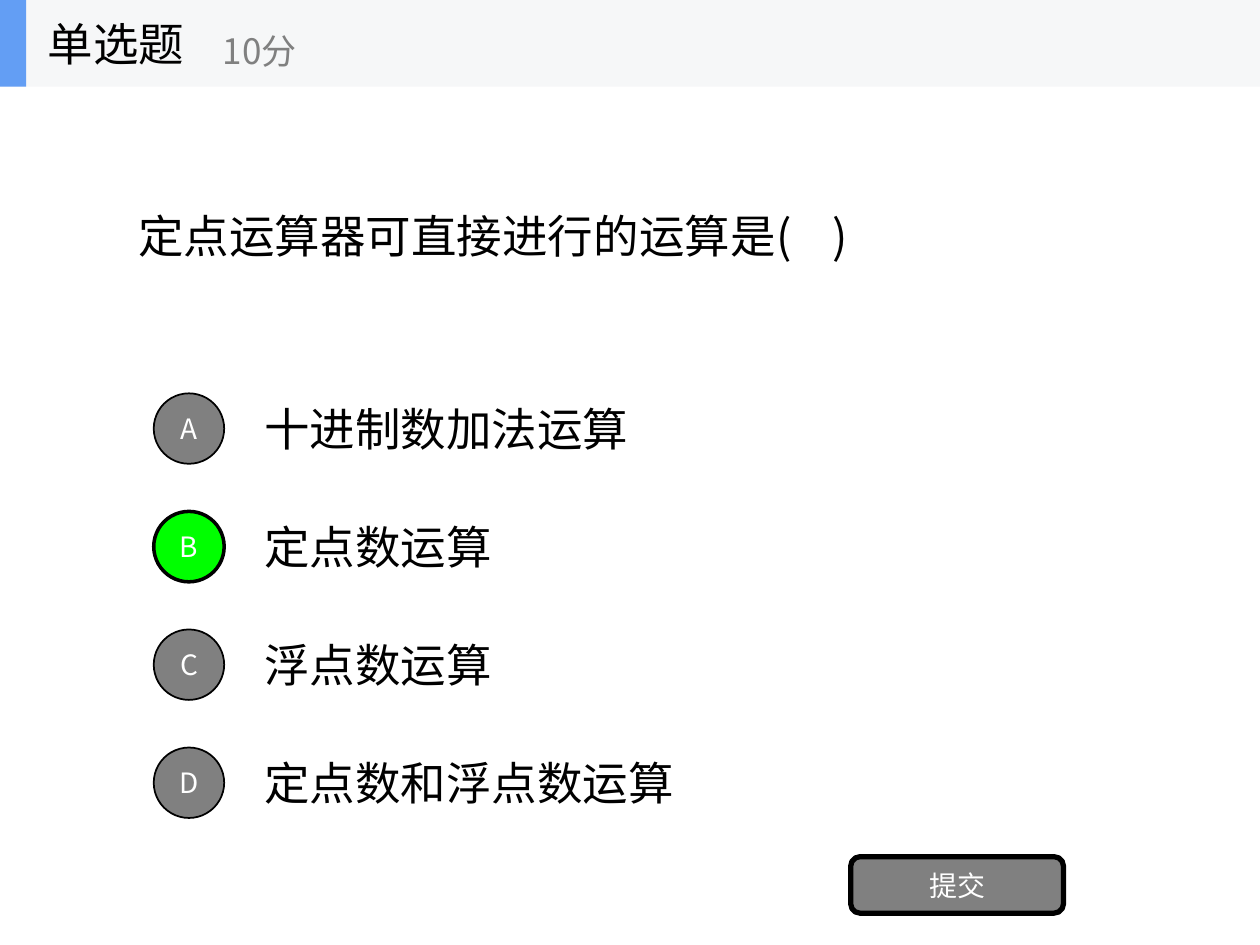
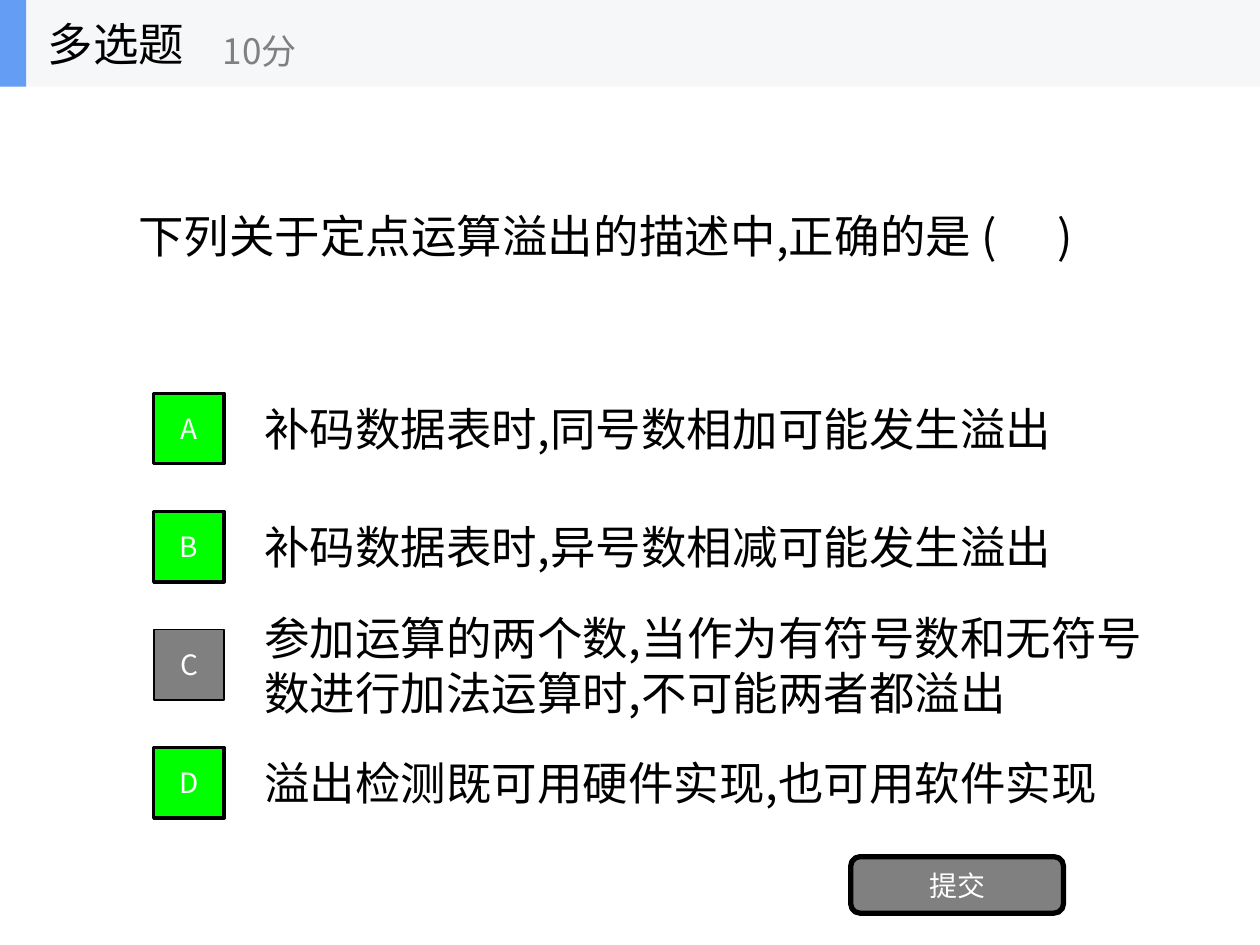
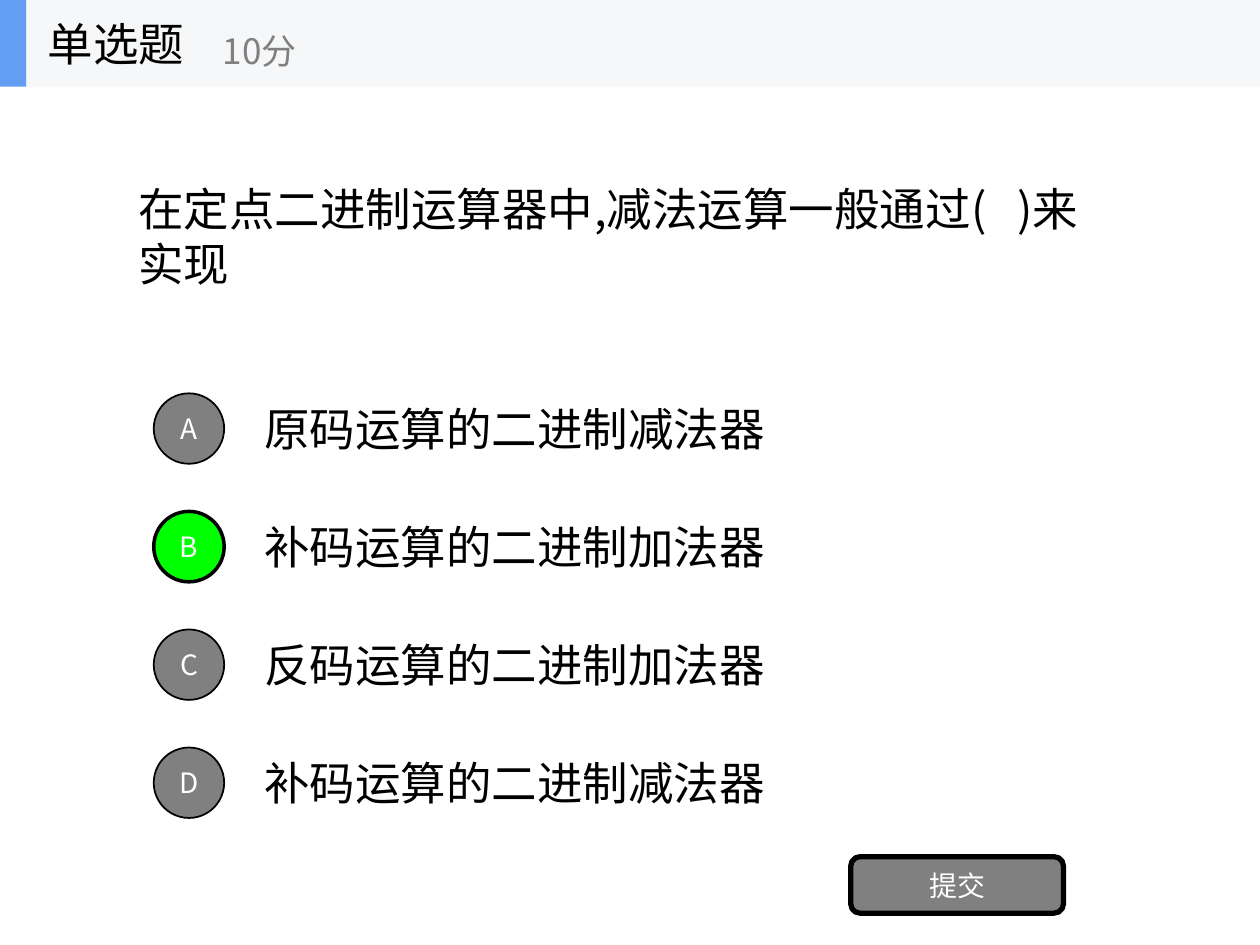
"""Builds three quiz slides on fixed-point arithmetic."""
from lxml import etree
from pptx import Presentation
from pptx.dml.color import RGBColor
from pptx.enum import shapes, text
from pptx.oxml import ns
from pptx.util import Cm, Pt

FONT = "Noto Sans CJK SC"
BLACK, WHITE, GRAY, GREEN = "000000", "FFFFFF", "808080", "00FF00"
BAND, ACCENT = "F6F7F8", "639EF4"
ONE_LINE, TWO_LINES = 1.37, 2.46
HEADER_HEIGHT = 1.75
QUESTION_CENTER = 4.75
FIRST_OPTION_CENTER, OPTION_STEP = 8.64, 2.38
MARKER = 1.42


def write(box, words, size, color, align=text.PP_ALIGN.LEFT, fit=text.MSO_AUTO_SIZE.NONE):
    frame = box.text_frame
    frame.word_wrap = True
    frame.auto_size = fit
    frame.vertical_anchor = text.MSO_ANCHOR.MIDDLE
    paragraph = frame.paragraphs[0]
    paragraph.alignment = align
    run = paragraph.add_run()
    run.text = words
    run.font.size = Pt(size)
    run.font.color.rgb = RGBColor.from_string(color)
    run.font.name = FONT
    etree.SubElement(run.font._element, ns.qn("a:ea"), typeface=FONT)


def add_block(slide, kind, left, top, width, height, fill, line_width=0, label=""):
    block = slide.shapes.add_shape(kind, Cm(left), Cm(top), Cm(width), Cm(height))
    block.shadow.inherit = False
    block.fill.solid()
    block.fill.fore_color.rgb = RGBColor.from_string(fill)
    if line_width:
        block.line.color.rgb = RGBColor.from_string(BLACK)
        block.line.width = Pt(line_width)
    else:
        block.line.fill.background()
    if label:
        write(block, label, 16, WHITE, text.PP_ALIGN.CENTER)


SINGLE = ("单选题", shapes.MSO_SHAPE.OVAL)
MULTIPLE = ("多选题", shapes.MSO_SHAPE.RECTANGLE)
quizzes = [
    (SINGLE, "定点运算器可直接进行的运算是(    )", 15.32, ONE_LINE, "B", ONE_LINE, [
        ("十进制数加法运算", 8.13),
        ("定点数运算", 5.36),
        ("浮点数运算", 5.36),
        ("定点数和浮点数运算", 9.04),
    ]),
    (MULTIPLE, "下列关于定点运算溢出的描述中,正确的是 (      )", 20.04, TWO_LINES, "ABD", TWO_LINES, [
        ("补码数据表时,同号数相加可能发生溢出", 16.59),
        ("补码数据表时,异号数相减可能发生溢出", 16.59),
        ("参加运算的两个数,当作为有符号数和无符号数进行加法运算时,不可能两者都溢出", 18.42),
        ("溢出检测既可用硬件实现,也可用软件实现", 17.5),
    ]),
    (SINGLE, "在定点二进制运算器中,减法运算一般通过(   )来实现", 19.69, TWO_LINES, "B", ONE_LINE, [
        ("原码运算的二进制减法器", 10.87),
        ("补码运算的二进制加法器", 10.87),
        ("反码运算的二进制加法器", 10.87),
        ("补码运算的二进制减法器", 10.87),
    ]),
]

prs = Presentation()
prs.slide_width, prs.slide_height = Cm(25.4), Cm(19.05)
title_only = prs.slide_layouts[5]

for (heading, marker_kind), question, question_width, question_height, answers, option_height, options in quizzes:
    slide = prs.slides.add_slide(title_only)

    stem = slide.shapes.add_textbox(
        Cm(2.54), Cm(QUESTION_CENTER - question_height / 2), Cm(question_width), Cm(question_height))
    write(stem, question, 26, BLACK, fit=text.MSO_AUTO_SIZE.SHAPE_TO_FIT_TEXT)

    for row, (letter, (option, option_width)) in enumerate(zip("ABCD", options)):
        center = FIRST_OPTION_CENTER + row * OPTION_STEP
        choice = slide.shapes.add_textbox(
            Cm(5.08), Cm(center - option_height / 2), Cm(option_width), Cm(option_height))
        write(choice, option, 26, BLACK, fit=text.MSO_AUTO_SIZE.SHAPE_TO_FIT_TEXT)
        fill, outline = (GREEN, 2) if letter in answers else (GRAY, 1)
        add_block(slide, marker_kind, 3.1, center - MARKER / 2, MARKER, MARKER, fill, outline, letter)

    add_block(slide, shapes.MSO_SHAPE.ROUNDED_RECTANGLE, 17.15, 17.27, 4.29, 1.14, GRAY, 3, "提交")

    add_block(slide, shapes.MSO_SHAPE.RECTANGLE, 0, 0, 25.4, HEADER_HEIGHT, BAND)
    add_block(slide, shapes.MSO_SHAPE.RECTANGLE, 0, 0, 0.53, HEADER_HEIGHT, ACCENT)
    title = slide.shapes.title
    title.left, title.top, title.width, title.height = Cm(0.71), Cm(0), Cm(5.28), Cm(HEADER_HEIGHT)
    write(title, heading, 26, BLACK)
    slide.shapes._spTree.append(title._element)
    points = slide.shapes.add_textbox(Cm(4.24), Cm(0.3), Cm(6.35), Cm(1.42))
    write(points, "10分", 20, GRAY)

prs.save("out.pptx")
